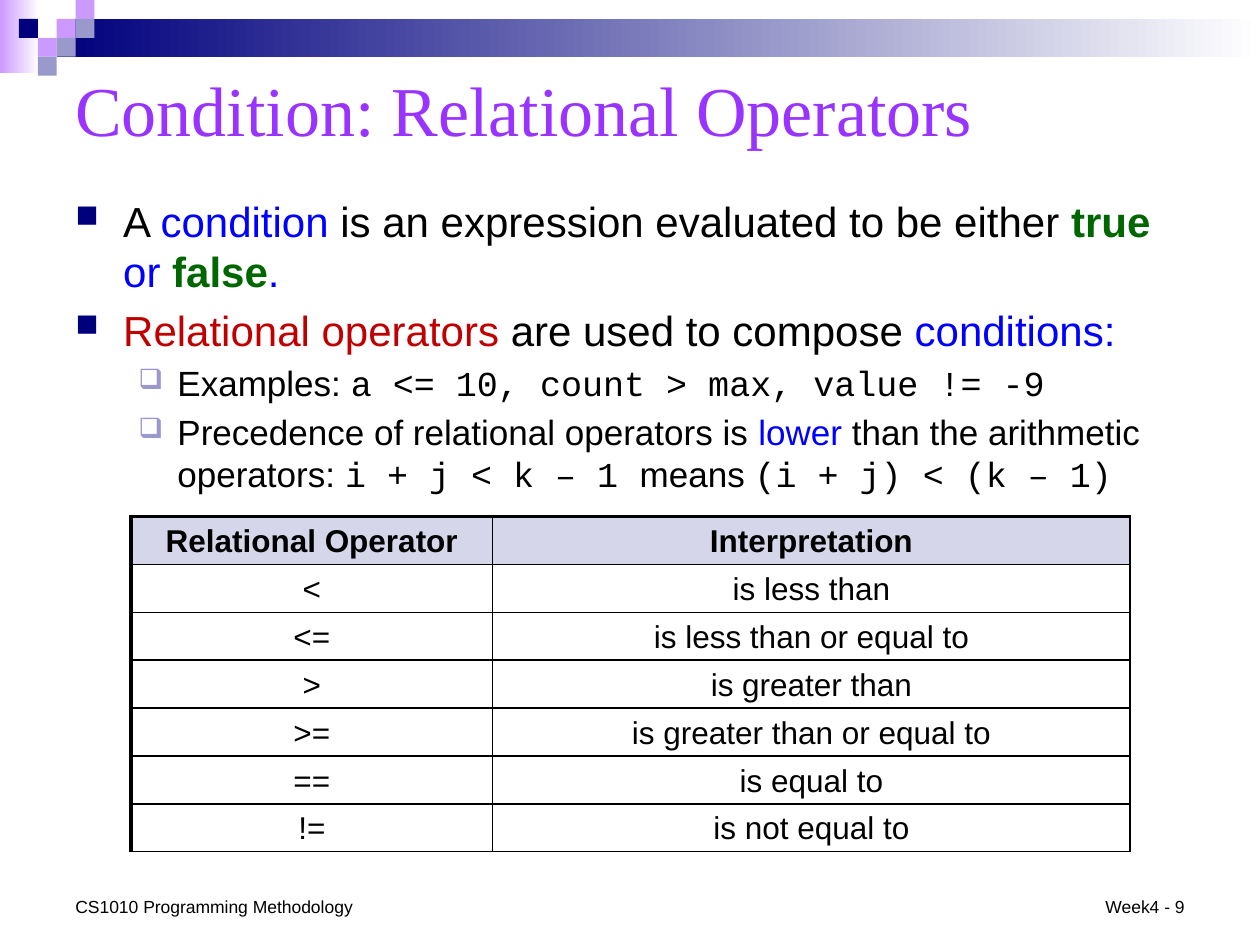
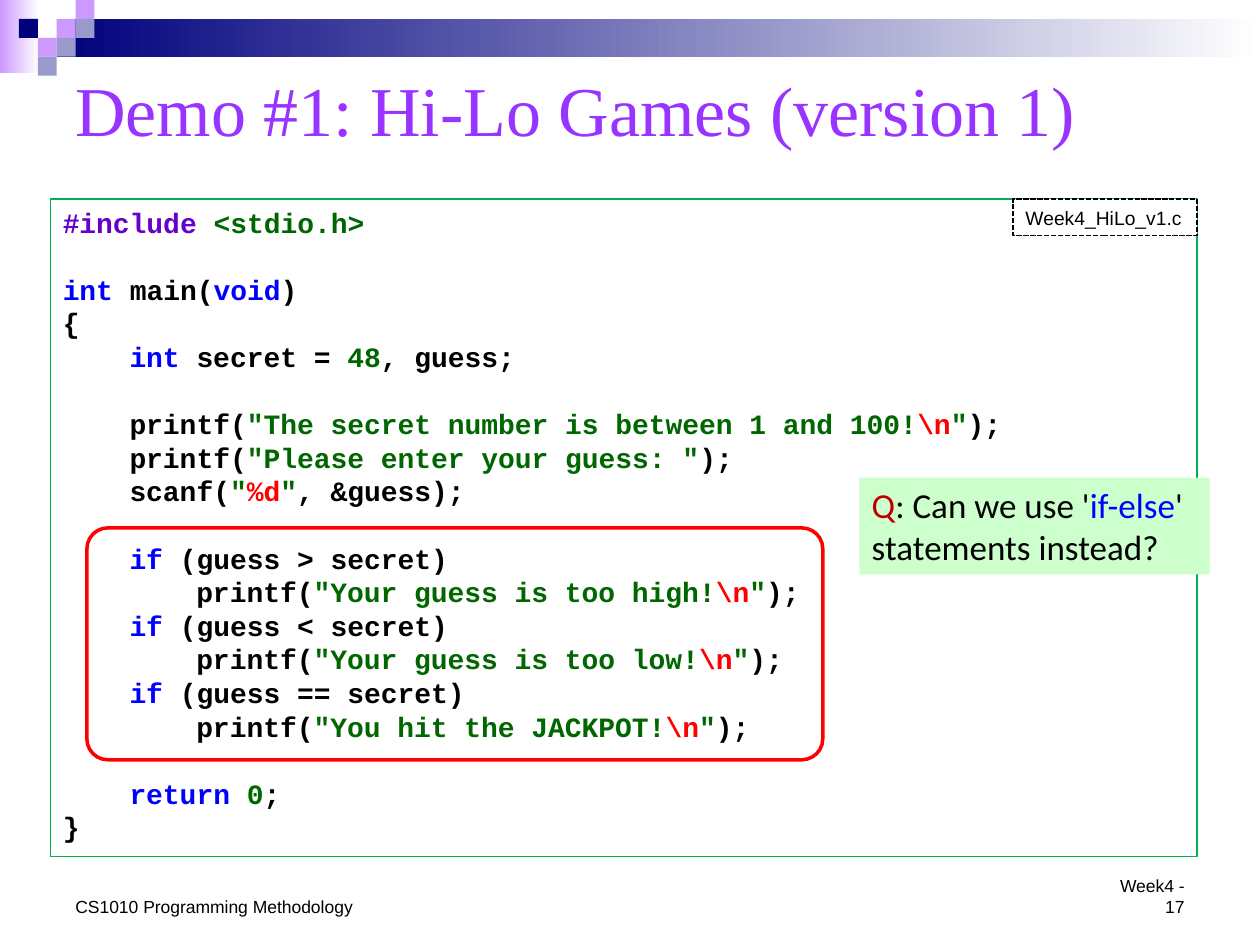
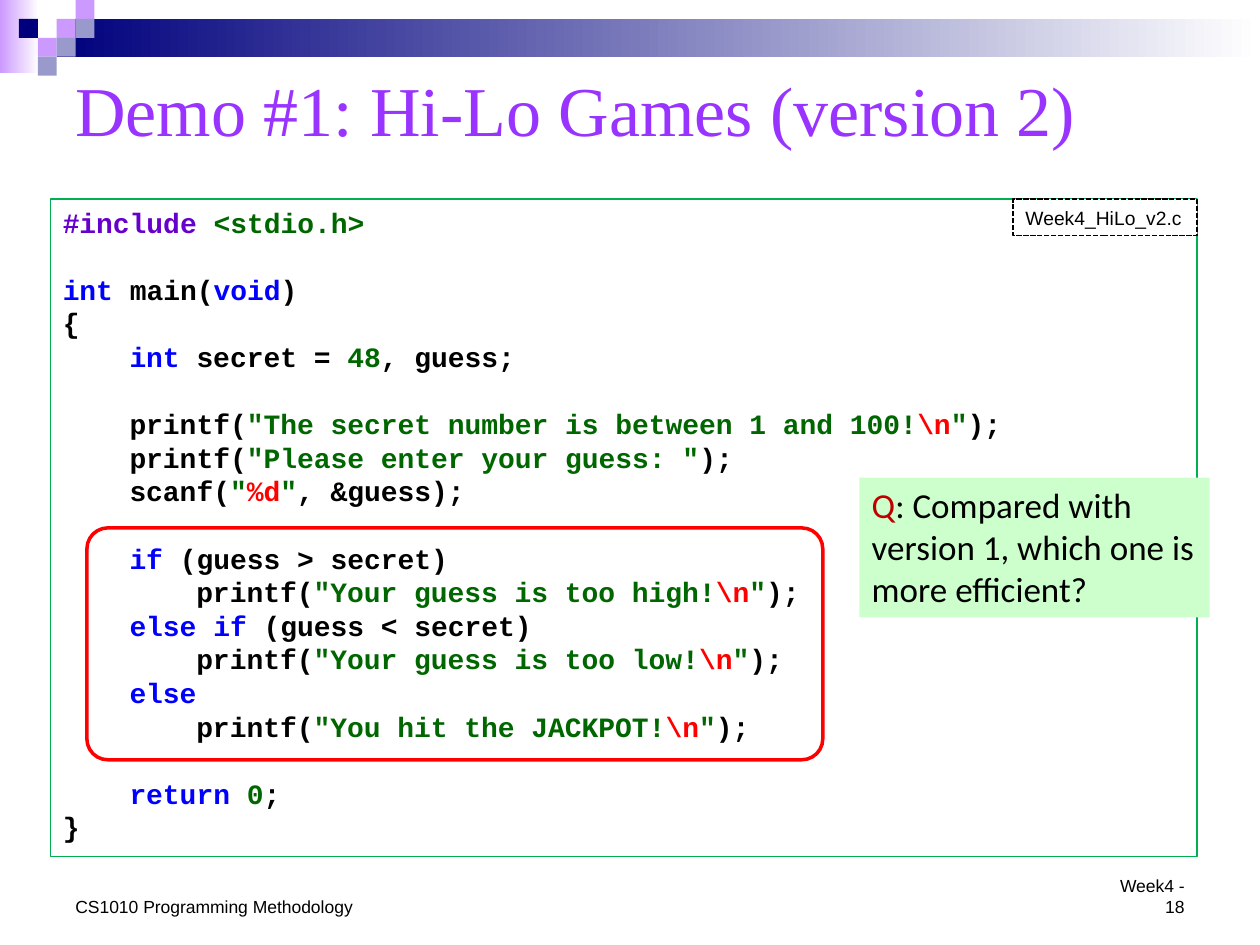
from collections import namedtuple

from lxml.etree import SubElement
from pptx import Presentation
from pptx.dml.color import RGBColor
from pptx.enum.dml import MSO_LINE
from pptx.enum.shapes import MSO_SHAPE
from pptx.enum.text import MSO_ANCHOR, PP_ALIGN
from pptx.oxml.ns import qn
from pptx.util import Inches, Pt

BLACK = RGBColor(0x00, 0x00, 0x00)
WHITE = RGBColor(0xFF, 0xFF, 0xFF)
NAVY = RGBColor(0x00, 0x00, 0x7D)
LILAC = RGBColor(0xCC, 0x99, 0xFF)
SLATE = RGBColor(0x99, 0x99, 0xCC)
VIOLET = RGBColor(0x99, 0x33, 0xFF)
PURPLE = RGBColor(0x66, 0x00, 0xCC)
BLUE = RGBColor(0x00, 0x00, 0xFF)
GREEN = RGBColor(0x00, 0x66, 0x00)
FRAME_GREEN = RGBColor(0x00, 0xB0, 0x50)
MINT = RGBColor(0xCC, 0xFF, 0xCC)
RED = RGBColor(0xFF, 0x00, 0x00)
DARK_RED = RGBColor(0xC0, 0x00, 0x00)
HEADER_FILL = RGBColor(0xD6, 0xD6, 0xEB)

SANS, SERIF, MONO, HUMANIST = "Arial", "Times New Roman", "Courier New", "Calibri"
UNIT = 0.1
LEADING = 1.2
CODE_SIZE = 16
CODE_INDENT = 0.53

Run = namedtuple("Run", "text color bold font", defaults=(BLACK, False, None))
Line = namedtuple("Line", "indent gap runs")
Bullet = namedtuple("Bullet", "char color percent size left hang")


class Box(namedtuple("Box", "left top width height")):
    """A rectangle on a grid of tenths of an inch."""

    def inner(self, col, row, width, height):
        """Return a box whose origin is counted from this one."""
        return Box(self.left + col, self.top + row, width, height)

    def emu(self):
        """Return the four lengths for python-pptx."""
        return [Inches(n * UNIT) for n in self]


PAGE = Box(0, 0, 100, 75)
SQUARE_BULLET = Bullet("■", NAVY, 75, 24, 0.38, 0.38)
SHADOW_BULLET = Bullet("❑", SLATE, 80, 20, 0.81, 0.31)

SQUARES = [(3, 1, LILAC), (4, 0, LILAC), (4, 1, SLATE), (2, 2, LILAC),
           (1, 1, NAVY), (3, 2, SLATE), (2, 3, SLATE)]

BODY = [
    (SQUARE_BULLET, [
        Run("A "), Run("condition ", BLUE),
        Run("is an expression evaluated to be either "),
        Run("true", GREEN, True), Run(" or ", BLUE),
        Run("false", GREEN, True), Run(".", BLUE)]),
    (SQUARE_BULLET, [
        Run("Relational operators ", DARK_RED),
        Run("are used to compose "), Run("conditions:", BLUE)]),
    (SHADOW_BULLET, [
        Run("Examples: "),
        Run("a <= 10, count > max, value != -9", font=MONO)]),
    (SHADOW_BULLET, [
        Run("Precedence of relational operators is "), Run("lower", BLUE),
        Run(" than the arithmetic operators: "),
        Run("i + j < k – 1 ", font=MONO), Run("means "),
        Run("(i + j) < (k – 1)", font=MONO)]),
]

OPERATORS = [
    ("Relational Operator", "Interpretation"),
    ("<", "is less than"),
    ("<=", "is less than or equal to"),
    (">", "is greater than"),
    (">=", "is greater than or equal to"),
    ("==", "is equal to"),
    ("!=", "is not equal to"),
]


def add_runs(p, runs, size, font):
    """Fill a paragraph with formatted runs at a fixed leading."""
    p.line_spacing = Pt(size * LEADING)
    for run in runs:
        r = p.add_run()
        r.text = run.text
        r.font.size = Pt(size)
        r.font.name = run.font or font
        r.font.bold = run.bold
        r.font.color.rgb = run.color


def add_text(slide, box, runs, size, font=SANS, anchor=MSO_ANCHOR.TOP,
             align=PP_ALIGN.LEFT):
    """Add a wrapping one-paragraph text box."""
    tf = slide.shapes.add_textbox(*box.emu()).text_frame
    tf.word_wrap = True
    tf.vertical_anchor = anchor
    p = tf.paragraphs[0]
    p.alignment = align
    add_runs(p, runs, size, font)


def add_panel(slide, box, fill=None, line=None, width=1, kind=MSO_SHAPE.RECTANGLE):
    """Add a flat shape with top-left text and return it."""
    sp = slide.shapes.add_shape(kind, *box.emu())
    sp.shadow.inherit = False
    if fill is None:
        sp.fill.background()
    else:
        sp.fill.solid()
        sp.fill.fore_color.rgb = fill
    if line is None:
        sp.line.fill.background()
    else:
        sp.line.color.rgb = line
        sp.line.width = Pt(width)
    tf = sp.text_frame
    tf.word_wrap = True
    tf.vertical_anchor = MSO_ANCHOR.TOP
    tf.paragraphs[0].alignment = PP_ALIGN.LEFT
    return sp


def add_fade(slide, box, color):
    """Add a band fading from a colour to white."""
    sp = add_panel(slide, box, color)
    sp.fill.gradient()
    sp.fill.gradient_angle = 0
    for stop, rgb in zip(sp.fill.gradient_stops, (color, WHITE)):
        stop.color.rgb = rgb


def add_banner(slide, box):
    """Draw the fading bands and the mosaic of squares."""
    side = 1.5
    add_fade(slide, box.inner(0, 0, 3.1, 5.8), LILAC)
    add_fade(slide, box.inner(4.5, side, box.width - 4.5, 2 * side), NAVY)
    for col, row, color in SQUARES:
        add_panel(slide, box.inner(col * side, row * side, side, side), color)


def add_footer(slide, box, number):
    """Add the course name and the slide number."""
    add_text(slide, box.inner(0, 0, 24.2, box.height),
             [Run("CS1010 Programming Methodology")], 10, anchor=MSO_ANCHOR.BOTTOM)
    add_text(slide, box.inner(box.width - 8.4, 0, 8.4, box.height),
             [Run(f"Week4 - {number}")], 10,
             anchor=MSO_ANCHOR.BOTTOM, align=PP_ALIGN.RIGHT)


def new_slide(prs, title, number):
    """Add a blank slide with banner, title and footer."""
    slide = prs.slides.add_slide(prs.slide_layouts[6])
    add_banner(slide, PAGE)
    add_text(slide, PAGE.inner(5, 4.2, 90, 8.8), [Run(title, VIOLET)], 40, SERIF,
             MSO_ANCHOR.MIDDLE)
    add_footer(slide, PAGE.inner(5, 70.6, 90, 2.7), number)
    return slide


def set_bullet(p, bullet):
    """Give a paragraph its hanging indent and bullet."""
    pPr = p._p.get_or_add_pPr()
    pPr.set("marL", str(Inches(bullet.left)))
    pPr.set("indent", str(-Inches(bullet.hang)))
    clr = SubElement(pPr, qn("a:buClr"))
    SubElement(clr, qn("a:srgbClr"), val=str(bullet.color))
    SubElement(pPr, qn("a:buSzPct"), val=str(bullet.percent * 1000))
    SubElement(pPr, qn("a:buChar"), char=bullet.char)


def add_bullets(slide, box, items):
    """Add the bulleted body text."""
    tf = slide.shapes.add_textbox(*box.emu()).text_frame
    tf.word_wrap = True
    for i, (bullet, runs) in enumerate(items):
        p = tf.add_paragraph() if i else tf.paragraphs[0]
        p.space_before = Pt(bullet.size * 0.2)
        add_runs(p, runs, bullet.size, SANS)
        set_bullet(p, bullet)


def set_border(cell, side, width):
    """Draw one black edge of a table cell."""
    tcPr = cell._tc.get_or_add_tcPr()
    ln = SubElement(tcPr, qn(f"a:ln{side}"), w=str(Pt(width)))
    fill = SubElement(ln, qn("a:solidFill"))
    SubElement(fill, qn("a:srgbClr"), val=str(BLACK))


def add_operator_table(slide, box, rows, widths):
    """Add the bordered table with a tinted header row."""
    table = slide.shapes.add_table(len(rows), len(widths), *box.emu()).table
    table.first_row = table.horz_banding = False
    for col, width in zip(table.columns, widths):
        col.width = Inches(width * UNIT)
    for i, texts in enumerate(rows):
        table.rows[i].height = Inches(box.height * UNIT / len(rows))
        for j, text in enumerate(texts):
            cell = table.cell(i, j)
            cell.margin_top = cell.margin_bottom = Inches(0.02)
            cell.vertical_anchor = MSO_ANCHOR.MIDDLE
            p = cell.text_frame.paragraphs[0]
            p.alignment = PP_ALIGN.CENTER
            add_runs(p, [Run(text, bold=i == 0)], 18, SANS)
            set_border(cell, "L", 1 if j else 2.25)
            set_border(cell, "R", 1)
            set_border(cell, "T", 1 if i else 2.25)
            set_border(cell, "B", 1)
            if i:
                cell.fill.background()
            else:
                cell.fill.solid()
                cell.fill.fore_color.rgb = HEADER_FILL


def code(indent, *runs, gap=False):
    """Build a line of bold code from text or (text, colour) pairs."""
    pairs = [(r, BLACK) if isinstance(r, str) else r for r in runs]
    return Line(indent, gap, [Run(text, color, True) for text, color in pairs])


def say(indent, message, gap=False):
    """Build a printf line whose message ends with a line break."""
    return code(indent, "printf(", ('"' + message, GREEN), ("\\n", RED),
                ('"', GREEN), ");", gap=gap)


def hilo_program(low, equal):
    """Return the game's code with its second and third branches."""
    return [
        code(0, ("#include ", PURPLE), ("<stdio.h>", GREEN)),
        code(0, ("int", BLUE), " main(", ("void", BLUE), ")", gap=True),
        code(0, "{"),
        code(1, ("int ", BLUE), "secret = ", ("48", GREEN), ", guess;"),
        say(1, "The secret number is between 1 and 100!", gap=True),
        code(1, "printf(", ('"Please enter your guess: "', GREEN), ");"),
        code(1, "scanf(", ('"', GREEN), ("%d", RED), ('"', GREEN), ", &guess);"),
        code(1, ("if", BLUE), " (guess > secret)", gap=True),
        say(2, "Your guess is too high!"),
        code(1, *low),
        say(2, "Your guess is too low!"),
        code(1, *equal),
        say(2, "You hit the JACKPOT!"),
        code(1, ("return ", BLUE), ("0", GREEN), ";", gap=True),
        code(0, "}"),
    ]


def add_code(slide, box, filename, lines):
    """Add the framed listing with its file name tag."""
    tf = add_panel(slide, box, WHITE, FRAME_GREEN, 0.75).text_frame
    for i, line in enumerate(lines):
        p = tf.add_paragraph() if i else tf.paragraphs[0]
        p.alignment = PP_ALIGN.LEFT
        p.space_before = Pt(CODE_SIZE * LEADING if line.gap else 0)
        add_runs(p, line.runs, CODE_SIZE, MONO)
        p._p.get_or_add_pPr().set("marL", str(Inches(line.indent * CODE_INDENT)))
    tag = add_panel(slide, box.inner(box.width - 14.6, 0, 14.6, 2.9), WHITE, BLACK)
    tag.line.dash_style = MSO_LINE.SQUARE_DOT
    tag.text_frame.vertical_anchor = MSO_ANCHOR.MIDDLE
    add_runs(tag.text_frame.paragraphs[0], [Run(filename)], 11, SANS)


def relational_slide(prs):
    """Build the slide on relational operators."""
    slide = new_slide(prs, "Condition: Relational Operators", 9)
    add_operator_table(slide, PAGE.inner(10.4, 41, 79.3, 26.6), OPERATORS, (28.7, 50.6))
    add_bullets(slide, PAGE.inner(5, 15, 90, 25.4), BODY)


def demo_slide(prs, version, number, low, equal, question, question_height):
    """Build a listing slide with a marked block and a question."""
    slide = new_slide(prs, f"Demo #1: Hi-Lo Games (version {version})", number)
    box = PAGE.inner(4, 15.8, 91, 52.2)
    add_code(slide, box, f"Week4_HiLo_v{version}.c", hilo_program(low, equal))
    note = add_panel(slide, box.inner(64.2, 22.1, 27.8, question_height), MINT)
    add_runs(note.text_frame.paragraphs[0], [Run("Q", DARK_RED), *question], 20, HUMANIST)
    mark = add_panel(slide, box.inner(2.9, 26.1, 58.4, 18.4), line=RED, width=2,
                     kind=MSO_SHAPE.ROUNDED_RECTANGLE)
    mark.adjustments[0] = 0.09


def main():
    """Build and save the presentation."""
    prs = Presentation()
    prs.slide_width, prs.slide_height = PAGE.emu()[2:]
    relational_slide(prs)
    demo_slide(prs, 1, 17,
               [("if ", BLUE), "(guess < secret)"],
               [("if ", BLUE), "(guess == secret)"],
               [Run(": Can we use '"), Run("if-else", BLUE),
                Run("' statements instead?")], 7.7)
    demo_slide(prs, 2, 18,
               [("else if ", BLUE), "(guess < secret)"],
               [("else", BLUE)],
               [Run(": Compared with version 1, which one is more efficient?")], 11.1)
    prs.save("out.pptx")


if __name__ == "__main__":
    main()
